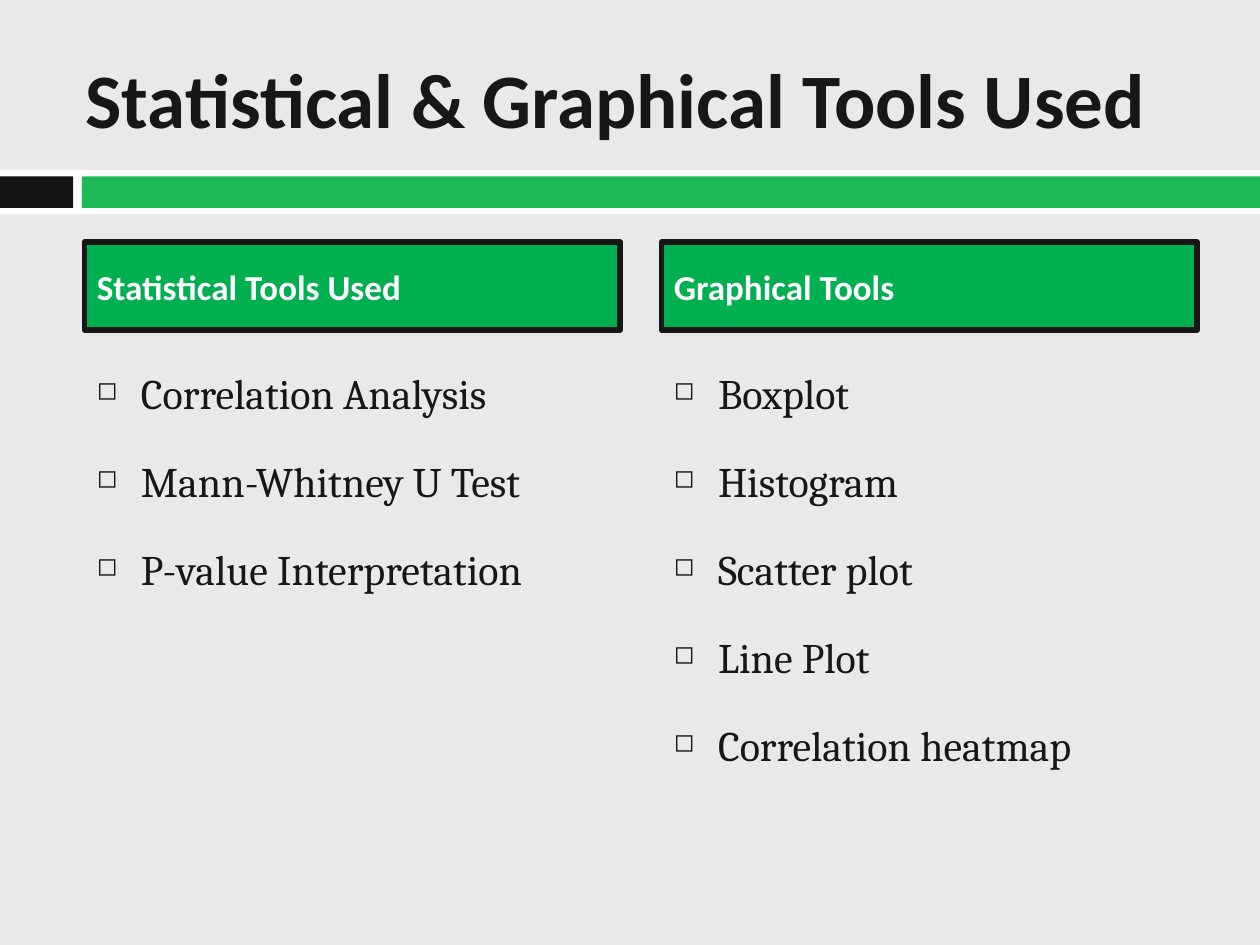
from dataclasses import dataclass

from lxml import etree
from pptx import Presentation
from pptx import util as u
from pptx.dml.color import RGBColor
from pptx.enum import shapes, text
from pptx.oxml import ns

PX = u.Inches(1) // 100


@dataclass(frozen=True)
class Theme:
    background: str = "E9E9E9"
    white: str = "FFFFFF"
    black: str = "151515"
    ink: str = "171717"
    band: str = "1DB954"
    heading_fill: str = "00B050"
    heading_font: str = "Calibri"
    body_font: str = "Cambria"
    title_size: int = 44
    heading_size: int = 20
    body_size: int = 24
    space_before: int = 7
    line_spacing: float = 1.5
    outline_width: int = 3


class SlideBuilder:
    def __init__(self, slide, theme):
        self.slide = slide
        self.theme = theme
        fill = slide.background.fill
        fill.solid()
        fill.fore_color.rgb = RGBColor.from_string(theme.background)

    def rectangle(self, box, color, outline=None):
        shape = self.slide.shapes.add_shape(
            shapes.MSO_SHAPE.RECTANGLE, *(value * PX for value in box))
        shape.shadow.inherit = False
        shape.fill.solid()
        shape.fill.fore_color.rgb = RGBColor.from_string(color)
        if outline:
            shape.line.color.rgb = RGBColor.from_string(outline)
            shape.line.width = u.Pt(self.theme.outline_width)
        else:
            shape.line.fill.background()
        return shape

    def text_box(self, box, anchor):
        shape = self.slide.shapes.add_textbox(*(value * PX for value in box))
        shape.text_frame.word_wrap = True
        shape.text_frame.vertical_anchor = anchor
        return shape

    def run(self, paragraph, words, font, size, color, bold=False):
        paragraph.alignment = text.PP_ALIGN.LEFT
        run = paragraph.add_run()
        run.text = words
        run.font.name = font
        run.font.size = u.Pt(size)
        run.font.bold = bold
        run.font.color.rgb = RGBColor.from_string(color)

    def title(self, box, words):
        shape = self.text_box(box, text.MSO_ANCHOR.MIDDLE)
        self.run(shape.text_frame.paragraphs[0], words, self.theme.heading_font,
                 self.theme.title_size, self.theme.ink, bold=True)

    def heading(self, box, words):
        shape = self.rectangle(box, self.theme.heading_fill, self.theme.ink)
        shape.text_frame.vertical_anchor = text.MSO_ANCHOR.MIDDLE
        paragraph = shape.text_frame.paragraphs[0]
        paragraph.space_before = u.Pt(self.theme.space_before)
        self.run(paragraph, words, self.theme.heading_font,
                 self.theme.heading_size, self.theme.white, bold=True)

    def bullet(self, paragraph):
        properties = paragraph._p.get_or_add_pPr()
        properties.set("marL", str(35 * PX))
        properties.set("indent", str(-35 * PX))
        color = etree.SubElement(properties, ns.qn("a:buClr"))
        etree.SubElement(color, ns.qn("a:srgbClr"), val=self.theme.black)
        etree.SubElement(properties, ns.qn("a:buSzPct"), val="60000")
        etree.SubElement(properties, ns.qn("a:buChar"), char="◻")

    def bullet_list(self, box, items):
        frame = self.text_box(box, text.MSO_ANCHOR.TOP).text_frame
        for index, item in enumerate(items):
            paragraph = frame.add_paragraph() if index else frame.paragraphs[0]
            paragraph.line_spacing = self.theme.line_spacing
            paragraph.space_before = u.Pt(self.theme.space_before)
            self.bullet(paragraph)
            self.run(paragraph, item, self.theme.body_font,
                     self.theme.body_size, self.theme.ink)


def main():
    presentation = Presentation()
    presentation.slide_width = 1000 * PX
    presentation.slide_height = 750 * PX
    slide = presentation.slides.add_slide(presentation.slide_layouts[6])
    theme = Theme()
    builder = SlideBuilder(slide, theme)

    builder.rectangle((0, 135, 1000, 35), theme.white)
    builder.rectangle((0, 140, 58, 25), theme.black)
    builder.rectangle((65, 140, 935, 25), theme.band)
    builder.title((58, 30, 892, 95), "Statistical & Graphical Tools Used")

    columns = {
        "Statistical Tools Used": [
            "Correlation Analysis", "Mann-Whitney U Test",
            "P-value Interpretation"],
        "Graphical Tools": [
            "Boxplot", "Histogram", "Scatter plot", "Line Plot",
            "Correlation heatmap"],
    }
    left, width, gap = 67, 425, 33
    for index, (heading, items) in enumerate(columns.items()):
        column_left = left + index * (width + gap)
        builder.bullet_list((column_left, 267, width, 392), items)
        builder.heading((column_left, 192, width, 70), heading)

    presentation.save("out.pptx")


if __name__ == "__main__":
    main()
